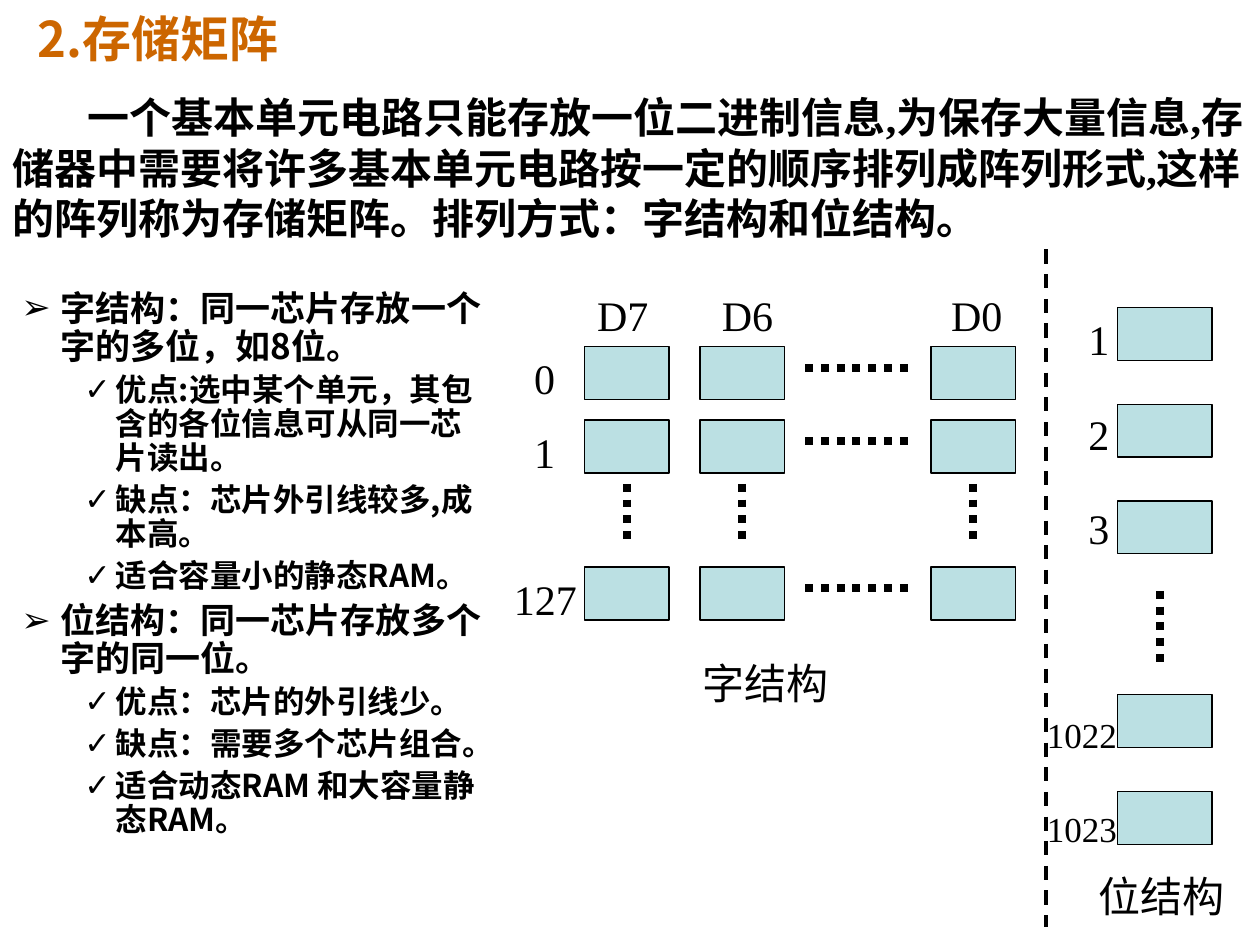
import pptx
import pptx.util
import pptx.dml.color
import pptx.enum.dml
import pptx.enum.shapes
import pptx.enum.text
import pptx.oxml.ns
from lxml import etree

Inches, Pt = pptx.util.Inches, pptx.util.Pt
SANS, SERIF = "Noto Sans CJK SC", "Times New Roman"
TITLE = "2.存储矩阵"
INTRO = ("一个基本单元电路只能存放一位二进制信息,为保存大量信息,存储器中需要将许多基本单元电路"
         "按一定的顺序排列成阵列形式,这样的阵列称为存储矩阵。排列方式：字结构和位结构。")
POINTS = [
    (1, "字结构：同一芯片存放一个字的多位，如8位。"),
    (2, "优点:选中某个单元，其包含的各位信息可从同一芯片读出。"),
    (2, "缺点：芯片外引线较多,成本高。"),
    (2, "适合容量小的静态RAM。"),
    (1, "位结构：同一芯片存放多个字的同一位。"),
    (2, "优点：芯片的外引线少。"),
    (2, "缺点：需要多个芯片组合。"),
    (2, "适合动态RAM 和大容量静态RAM。"),
]
LEVELS = {
    1: dict(bullet="➢", margin=0.81, hang=-0.31, size=20, before=5),
    2: dict(bullet="✓", margin=1.25, hang=-0.25, size=18, before=4.5),
}
WORD_COLS, WORD_ROWS = (0, 1, 3), (0, 1, 3)
WORD_LABELS = [("0", 4.14, 0.33), ("1", 4.14, 0.33), ("127", 3.98, 0.83)]
BIT_ROWS = (0, 1, 2, 4, 5)
BIT_LABELS = [("1", 8.54, 2.44, 0.25, 24), ("2", 8.54, 3.19, 0.25, 24),
              ("3", 8.54, 3.94, 0.25, 24), ("1022", 8.21, 5.61, 1.42, 20),
              ("1023", 8.21, 6.36, 1.42, 20)]
CAPTIONS = [("字结构", 5.48, 5.17, 2.08), ("位结构", 8.62, 6.86, 1.58)]
CELL_H = 0.42


def color(value):
    """Turn a hex string into a colour."""
    return pptx.dml.color.RGBColor.from_string(value)


def child(parent, tag, **attrs):
    """Append a DrawingML element to a parent."""
    return etree.SubElement(parent, pptx.oxml.ns.qn(tag), attrs)


def style(p, text, size, font=SERIF, fill="000000", bold=False):
    """Add one formatted run to a paragraph."""
    r = p.add_run()
    r.text = text
    for name, value in dict(size=Pt(size), name=font, bold=bold).items():
        setattr(r.font, name, value)
    r.font.color.rgb = color(fill)
    child(r.font._element, "a:ea", typeface=SANS)


def place(sp, x, y, w, h):
    """Move and size a shape in inches."""
    for name, value in dict(left=x, top=y, width=w, height=h).items():
        setattr(sp, name, Inches(value))


def label(s, text, x, y, w, h=0.5, size=24, bold=False):
    """Add a wrapped text box and return its paragraph."""
    tf = s.shapes.add_textbox(Inches(x), Inches(y), Inches(w), Inches(h)).text_frame
    tf.word_wrap = True
    style(tf.paragraphs[0], text, size, bold=bold)
    return tf.paragraphs[0]


def cell(s, x, y, w):
    """Add one memory cell."""
    sp = s.shapes.add_shape(pptx.enum.shapes.MSO_SHAPE.RECTANGLE,
                            Inches(x), Inches(y), Inches(w), Inches(CELL_H))
    sp.shadow.inherit = False
    sp.fill.solid()
    sp.fill.fore_color.rgb = color("BBE0E3")
    sp.line.color.rgb = color("000000")
    sp.line.width = Pt(0.75)


def line(s, x1, y1, x2, y2, width=4.5, dash="ROUND_DOT"):
    """Add a dotted or dashed straight line."""
    c = s.shapes.add_connector(pptx.enum.shapes.MSO_CONNECTOR.STRAIGHT,
                               Inches(x1), Inches(y1), Inches(x2), Inches(y2))
    c.line.color.rgb = color("000000")
    c.line.width = Pt(width)
    c.line.dash_style = getattr(pptx.enum.dml.MSO_LINE, dash)
    child(c._element.spPr, "a:effectLst")


def add_text(s):
    """Fill the title, the introduction and the bullet list."""
    title, body = s.shapes.title, s.placeholders[1]
    place(title, 0.2, 0, 6.06, 0.61)
    place(body, -0.43, 2.26, 4.45, 5.24)
    for sp in (title, body):
        sp.text_frame.auto_size = pptx.enum.text.MSO_AUTO_SIZE.NONE
    p = title.text_frame.paragraphs[0]
    p.alignment = pptx.enum.text.PP_ALIGN.LEFT
    style(p, TITLE, 28, SANS, "CC6600", True)
    p = label(s, INTRO, 0, 0.68, 10, 1.3, bold=True)
    p._p.get_or_add_pPr().set("indent", str(Inches(0.6)))
    tf = body.text_frame
    for i, (level, text) in enumerate(POINTS):
        p = tf.add_paragraph() if i else tf.paragraphs[0]
        fmt = LEVELS[level]
        for name, value in dict(level=level - 1, line_spacing=0.9,
                                space_before=Pt(fmt["before"] if i else 0)).items():
            setattr(p, name, value)
        pPr = p._p.get_or_add_pPr()
        pPr.set("marL", str(Inches(fmt["margin"])))
        pPr.set("indent", str(Inches(fmt["hang"])))
        child(child(pPr, "a:buClr"), "a:srgbClr", val="000000")
        child(pPr, "a:buChar", char=fmt["bullet"])
        style(p, text, fmt["size"], SANS, bold=True)


def add_word_matrix(s):
    """Draw the word-organised matrix with its labels."""
    xs = [4.64 + 2.75 / 3 * i for i in WORD_COLS]
    ys = [2.75 + 1.75 / 3 * i for i in WORD_ROWS]
    for y, (text, x, w) in zip(ys, WORD_LABELS):
        for left in xs:
            cell(s, left, y, 0.67)
        line(s, 6.39, y + 0.17, 7.23, y + 0.17)
        label(s, text, x, y, w)
    for x in xs:
        line(s, x + 0.335, 3.84, x + 0.335, 4.34)
    p = label(s, "D7\tD6\tD0", 4.64, 2.25, 3.67)
    tabs = child(p._p.get_or_add_pPr(), "a:tabLst")
    for stop in (0.99, 2.81):
        child(tabs, "a:tab", pos=str(Inches(stop)), algn="l")


def add_bit_column(s):
    """Draw the bit-organised column with its labels."""
    for text, x, y, w, size in BIT_LABELS:
        label(s, text, x, y, w, size / 48, size)
    for i in BIT_ROWS:
        cell(s, 8.87, 2.44 + 3.84 / 5 * i, 0.75)
    line(s, 9.21, 4.69, 9.21, 5.28)


def main():
    """Build the slide and save it."""
    prs = pptx.Presentation()
    prs.slide_width, prs.slide_height = Inches(10), Inches(7.5)
    s = prs.slides.add_slide(prs.slide_layouts[1])
    add_text(s)
    add_bit_column(s)
    add_word_matrix(s)
    for text, x, y, w in CAPTIONS:
        label(s, text, x, y, w)
    line(s, 8.3, 1.98, 8.3, 7.36, 2, "DASH")
    prs.save("out.pptx")


if __name__ == "__main__":
    main()
